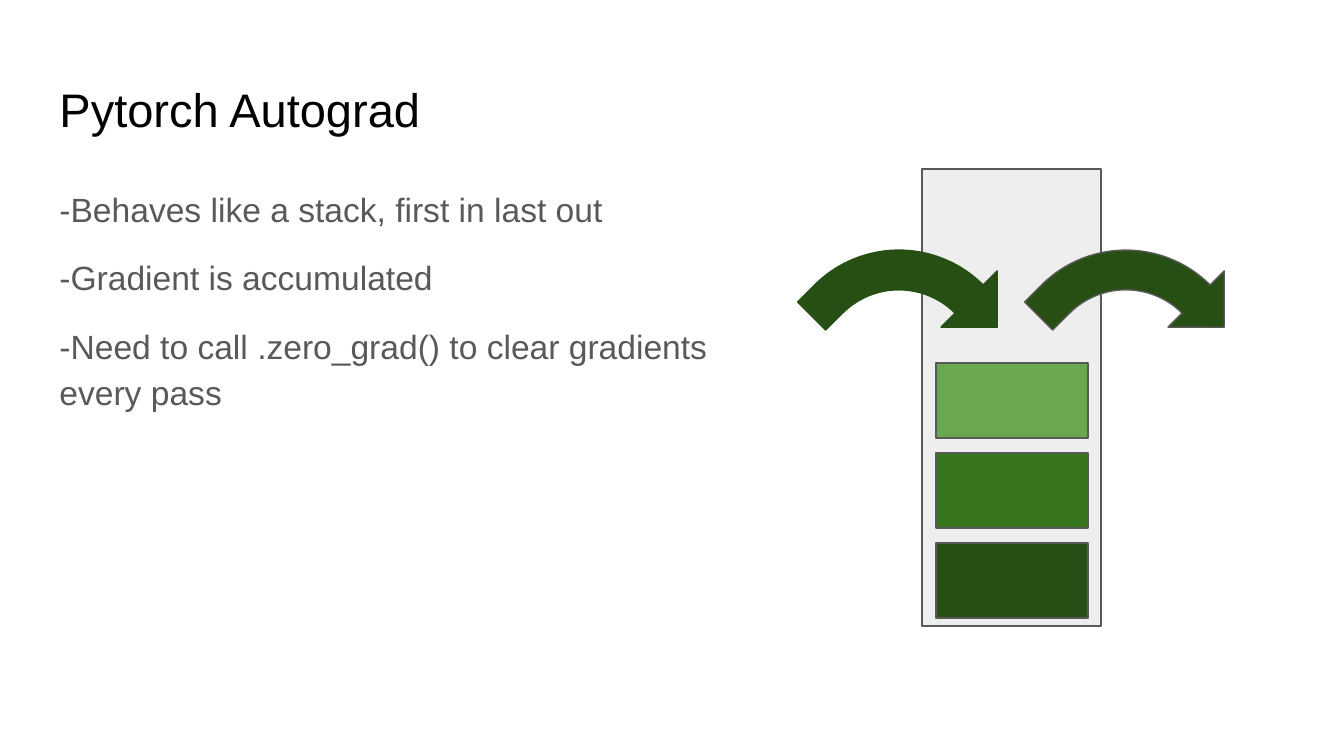
import lxml.etree
import pptx
import pptx.dml.color
import pptx.enum.shapes
import pptx.enum.text
import pptx.util

EMU_PER_PX = 914400 / 134.4
SHAPES = pptx.enum.shapes.MSO_SHAPE
ANCHOR = pptx.enum.text.MSO_ANCHOR


def px(length):
    return pptx.util.Emu(round(length * EMU_PER_PX))


def color(value):
    return pptx.dml.color.RGBColor.from_string(value)


def apply(target, values):
    for name, value in values.items():
        setattr(target, name, value)


class StackSlide:
    """Holds the style and the current slide, and draws each kind of element."""

    font = "Arial"
    grey = "595959"
    dark_green = "274E13"
    greens = ["6AA84F", "38761D", dark_green]

    def __init__(self, deck):
        self.slide = deck.slides.add_slide(deck.slide_layouts[1])

    def place(self, element, box):
        apply(element, dict(zip(("left", "top", "width", "height"), map(px, box))))

    def text(self, holder, box, lines, size, ink, anchor, spacing):
        self.place(holder, box)
        frame = holder.text_frame
        inset = pptx.util.Inches(0.1)
        apply(frame, {
            "text": "\n".join(lines),
            "word_wrap": True,
            "auto_size": pptx.enum.text.MSO_AUTO_SIZE.NONE,
            "vertical_anchor": anchor,
            "margin_left": inset, "margin_right": inset,
            "margin_top": inset, "margin_bottom": inset,
        })
        for paragraph in frame.paragraphs:
            apply(paragraph, {
                "alignment": pptx.enum.text.PP_ALIGN.LEFT,
                "line_spacing": spacing,
                "space_before": pptx.util.Pt(0),
                "space_after": pptx.util.Pt(0),
            })
            for run in paragraph.runs:
                apply(run.font, {"name": self.font, "size": pptx.util.Pt(size)})
                run.font.color.rgb = color(ink)
        return frame.paragraphs

    def title(self, box, wording):
        self.text(self.slide.shapes.title, box, [wording], 25.2, "000000", ANCHOR.MIDDLE, 1.0)

    def body(self, box, lines):
        points = self.text(self.slide.placeholders[1], box, lines, 18, self.grey, ANCHOR.TOP, 1.15)
        for point in points[1:]:
            point.space_before = pptx.util.Pt(12)
        points[-1].space_after = pptx.util.Pt(12)
        for point in points:
            properties = point._p.get_or_add_pPr()
            properties.set("marL", "0")
            properties.set("indent", "0")
            lxml.etree.SubElement(properties, pptx.oxml.ns.qn("a:buNone"))

    def shape(self, preset, box, fill, outline):
        drawn = self.slide.shapes.add_shape(preset, *map(px, box))
        drawn.shadow.inherit = False
        drawn.fill.solid()
        drawn.fill.fore_color.rgb = color(fill)
        drawn.line.color.rgb = color(outline)
        drawn.line.width = pptx.util.Pt(0.75)
        return drawn

    def rectangle(self, box, fill):
        self.shape(SHAPES.RECTANGLE, box, fill, self.grey)

    def arrow(self, left, outline):
        bent = self.shape(SHAPES.BENT_ARROW, (left, 219, 159, 163), self.dark_green, outline)
        bent.rotation = 45
        bent.adjustments[3] = 0.75


def main():
    deck = pptx.Presentation()
    apply(deck, {"slide_width": px(1344), "slide_height": px(756)})
    page = StackSlide(deck)
    page.title((46, 66, 1253, 85), "Pytorch Autograd")
    page.body((46, 169, 691, 503), [
        "-Behaves like a stack, first in last out",
        "-Gradient is accumulated",
        "-Need to call .zero_grad() to clear gradients every pass",
    ])
    page.rectangle((922, 169, 179, 457), "EEEEEE")
    for level, green in enumerate(page.greens):
        page.rectangle((936, 363 + 90 * level, 152, 75), green)
    for left, outline in ((832, page.dark_green), (1059, page.grey)):
        page.arrow(left, outline)
    deck.save("out.pptx")


if __name__ == "__main__":
    main()
